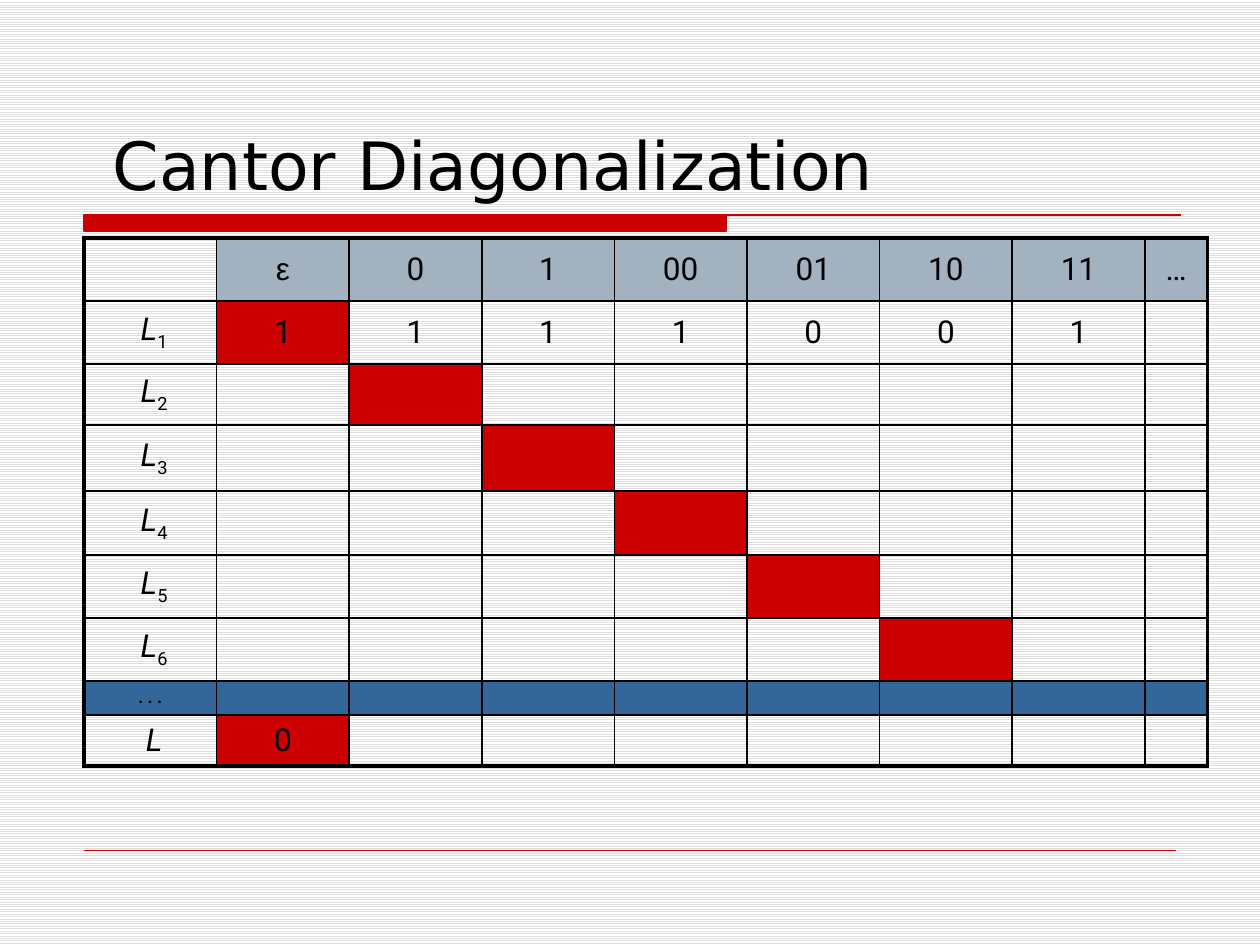
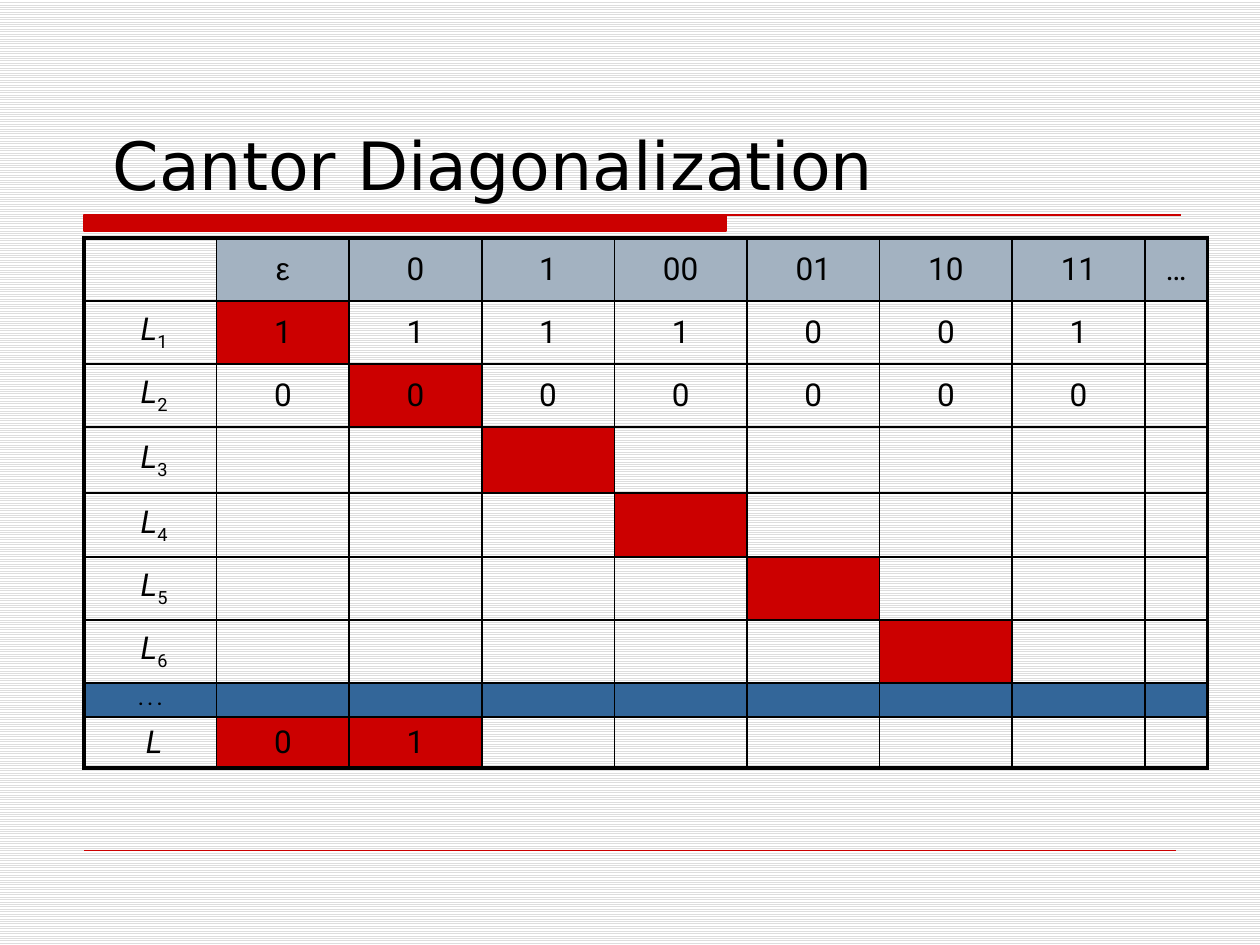
from dataclasses import dataclass
from lxml.etree import SubElement
from pptx import Presentation
from pptx.dml.color import RGBColor as RGB
from pptx.enum.dml import MSO_PATTERN as Pattern
from pptx.enum.shapes import MSO_CONNECTOR as Link
from pptx.enum.text import MSO_ANCHOR as Anchor, MSO_AUTO_SIZE as Fit, PP_ALIGN as Align
from pptx.oxml.ns import qn
from pptx.util import Emu, Pt


@dataclass(frozen=True)
class Theme:
    ink: str = "000000"
    paper: str = "FFFFFF"
    stripe: str = "DDDDDD"
    red: str = "CC0000"
    head: str = "A3B2C1"
    blue: str = "336699"
    title_font: str = "DejaVu Sans"
    font: str = "Roboto"
    greek: str = "Arial"
    title: float = 38
    text: float = 18
    small: float = 10
    thin: float = 1
    thick: float = 2.25


theme = Theme()
rgb = RGB.from_string


def px(n):
    return Emu(round(n * 914400 / 126))


def say(frame, text, size=theme.text, font=theme.font, align=Align.CENTER,
        bold=False, italic=False, sub=""):
    """Write text, with an optional subscript, in the first paragraph."""
    para = frame.paragraphs[0]
    para.alignment = align
    for part in filter(None, (text, sub)):
        run = para.add_run()
        run.text = part
        run.font.size, run.font.name = Pt(size), font
        run.font.bold = bold
        run.font.italic = italic and part == text
        run.font.color.rgb = rgb(theme.ink)
        if part == sub:
            run._r.get_or_add_rPr().set("baseline", "-25000")
    if not text:
        SubElement(para._p, qn("a:endParaRPr"), sz=str(size * 100))


deck = Presentation()
deck.slide_width, deck.slide_height = px(1260), px(945)

# Shared layout: striped background and title place
layout = deck.slide_layouts[5]
back = layout.background.fill
back.patterned()
back.pattern = Pattern.LIGHT_HORIZONTAL
back.fore_color.rgb, back.back_color.rgb = rgb(theme.stripe), rgb(theme.paper)
spot = layout.placeholders[0]
spot.left, spot.top, spot.width, spot.height = px(79), px(42), px(1102), px(168)

# Table content
heads = ["", "ε", "0", "1", "00", "01", "10", "11", "…"]
bits = ["1111001", "0000000"]
count = 6
dots, last = count + 1, count + 2
end = len(heads) - 1
heights = [[63, 63, 61, 66, 64, 63, 63, 33, 50],
           [63, 63, 63, 66, 64, 63, 63, 33, 50]]
total, narrow = 1124, 63
wide = (total - narrow) / end

for known, tall in enumerate(heights, 1):
    slide = deck.slides.add_slide(layout)

    # Band and footer rule, moved to the layout once
    if known == 1:
        pen = slide.shapes.build_freeform(84, 215, scale=px(1))
        pen.add_line_segments([(726, 215), (726, 231), (84, 231)], close=True)
        pen.move_to(84, 215)
        pen.add_line_segments([(1181, 215)], close=False)
        band = pen.convert_to_shape()
        band.shadow.inherit = False
        band.fill.solid()
        band.fill.fore_color.rgb = rgb(theme.red)
        rule = slide.shapes.add_connector(Link.STRAIGHT, px(84), px(850), px(1176), px(850))
        for key, (shape, width) in enumerate([(band, 0.75), (rule, 0.25)], 20):
            shape.line.color.rgb, shape.line.width = rgb(theme.red), Pt(width)
            next(shape.element.iter(qn("p:cNvPr"))).set("id", str(key))
            layout.shapes.element.append(shape.element)
        SubElement(rule.element.spPr, qn("a:effectLst"))

    # Title
    frame = slide.shapes.title.text_frame
    frame.vertical_anchor, frame.auto_size = Anchor.BOTTOM, Fit.NONE
    say(frame, " Cantor Diagonalization", size=theme.title,
        font=theme.title_font, align=Align.LEFT)

    # Table grid
    grid = slide.shapes.add_table(last + 1, end + 1, px(84), px(238),
                                  px(total), px(sum(tall))).table
    grid.first_row = grid.horz_banding = False
    for col in range(end + 1):
        grid.columns[col].width = px(narrow if col == end else wide)

    for row, high in enumerate(tall):
        grid.rows[row].height = px(high)
        for col, head in enumerate(heads):
            cell = grid.cell(row, col)
            cell.vertical_anchor = Anchor.MIDDLE

            # Text: the last row flips the known part of the diagonal
            text, look = "", {}
            if row == 0:
                text = head
                look = {"font": theme.greek} if head == "ε" else {}
            elif row == dots:
                text = ". . ." if col == 0 else ""
                look = {"size": theme.small, "bold": True}
            elif col == 0:
                text = " L"
                look = {"italic": True, "sub": "" if row == last else str(row)}
            elif row <= known and col < end:
                text = bits[row - 1][col - 1]
            elif row == last and col <= known:
                text = str(1 - int(bits[col - 1][col - 1]))
            say(cell.text_frame, text, **look)

            # Fill
            tint = None
            if row == 0 and col:
                tint = theme.head
            elif row == dots:
                tint = theme.blue
            elif 0 < row == col <= count or (row == last and 0 < col <= known):
                tint = theme.red
            if tint:
                cell.fill.solid()
                cell.fill.fore_color.rgb = rgb(tint)
            else:
                cell.fill.background()

            # Borders: thick on the outer edge
            props = cell._tc.get_or_add_tcPr()
            edges = {"L": col == 0, "R": col == end, "T": row == 0, "B": row == last}
            for place, (side, outer) in enumerate(edges.items()):
                width = Pt(theme.thick if outer else theme.thin)
                line = SubElement(props, qn("a:ln" + side), w=str(width))
                solid = SubElement(line, qn("a:solidFill"))
                SubElement(solid, qn("a:srgbClr"), val=theme.ink)
                props.insert(place, line)

deck.save("out.pptx")
